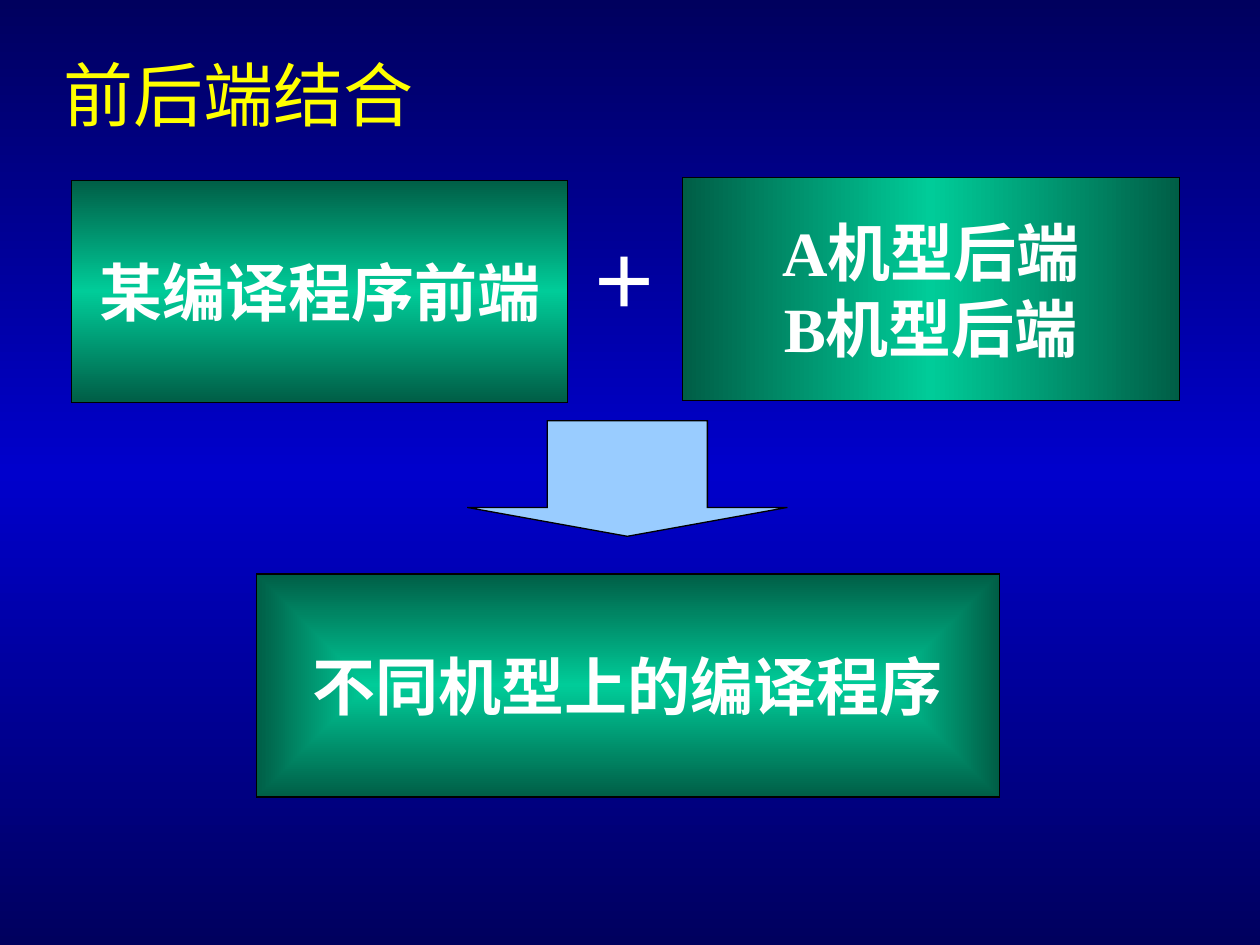
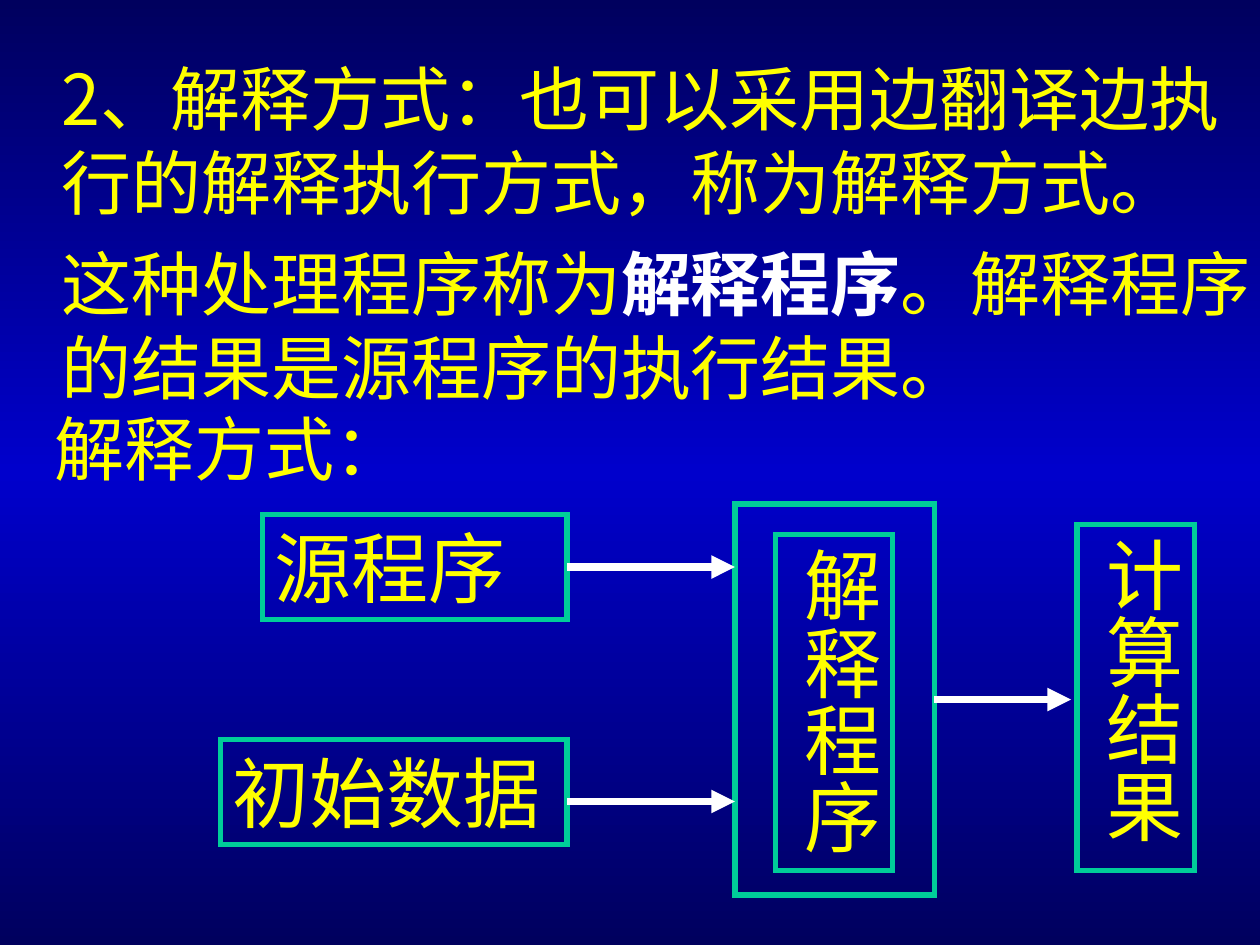
from lxml import etree
from pptx import Presentation
from pptx.dml.color import RGBColor
from pptx.enum.shapes import MSO_CONNECTOR, MSO_SHAPE
from pptx.enum.text import MSO_ANCHOR, MSO_AUTO_SIZE, PP_ALIGN
from pptx.oxml.ns import qn
from pptx.util import Pt

RECT, DOWN = MSO_SHAPE.RECTANGLE, MSO_SHAPE.DOWN_ARROW
STRAIGHT = MSO_CONNECTOR.STRAIGHT
TOP, MIDDLE = MSO_ANCHOR.TOP, MSO_ANCHOR.MIDDLE
LEFT, CENTER = PP_ALIGN.LEFT, PP_ALIGN.CENTER
FIXED = MSO_AUTO_SIZE.NONE
RIGHT_SIDE = 3

HEX = {
    "navy": "00005E", "blue": "0000CC", "pine": "005E46", "green": "00CC99",
    "sky": "99CCFF", "yellow": "FFFF00", "white": "FFFFFF", "black": "000000",
}
SERIF, SANS = "Times New Roman", "Noto Sans CJK SC"
BACK = [(0, "navy"), (50, "blue"), (100, "navy")]
BAND = [(0, "pine"), (50, "green"), (100, "pine")]
GLOW = [(0, "green"), (100, "pine")]

HEAD = {"size": 40, "color": "yellow", "name": SERIF, "bold": False}
PROSE = {**HEAD, "name": SANS}
STRONG = {**PROSE, "color": "white", "bold": True}
PLUS = {**HEAD, "color": "white", "bold": True}
LABEL = {**PLUS, "size": 36}
NODE = {**HEAD, "size": 44}

PARTS = [
    (["某编译程序前端"], (41, 103, 283.5, 127), BAND, 90),
    (["A机型后端", "B机型后端"], (390, 101.5, 284, 127.5), BAND, 180),
    (["不同机型上的编译程序"], (146.5, 328, 424.5, 127.5), GLOW, None),
]
ARROW = (267, 240.5, 183, 66)

STORY = [
    [("2、解释方式：也可以采用边翻译边执行的解释执行方式，称为解释方式。", PROSE)],
    [("这种处理程序称为", PROSE), ("解释程序", STRONG),
     ("。解释程序的结果是源程序的执行结果。", PROSE)],
]
NODES = {
    "frame": ("", (420, 288, 114, 223.5), False),
    "engine": ("解释程序", (443, 305.5, 67, 192), True),
    "result": ("计算结果", (615.5, 299.5, 67, 198), True),
    "source": ("源程序", (150, 294, 174, 60), False),
    "data": ("初始数据", (126, 422.5, 198, 60), False),
}
WIRES = [
    ("source", (324, 324), (420, 324)),
    ("frame", (534, 399.75), (612, 399.75)),
    (None, (324, 458), (420, 458)),
]


def tint(name):
    return RGBColor.from_string(HEX[name])


def grade(fill, root, stops, angle):
    fill.gradient()
    grad = next(root.iter(qn("a:gradFill")))
    grad.clear()
    grad.set("rotWithShape", "1")
    row = etree.SubElement(grad, qn("a:gsLst"))
    for pos, name in stops:
        stop = etree.SubElement(row, qn("a:gs"), pos=str(pos * 1000))
        etree.SubElement(stop, qn("a:srgbClr"), val=HEX[name])
    if angle is None:
        way = etree.SubElement(grad, qn("a:path"), path="rect")
        etree.SubElement(way, qn("a:fillToRect"), {side: "50000" for side in "ltrb"})
    else:
        etree.SubElement(grad, qn("a:lin"), ang=str(angle * 60000), scaled="0")


def style(font, look):
    for key, value in look.items():
        if key == "color":
            font.color.rgb = tint(value)
        else:
            setattr(font, key, Pt(value) if key == "size" else value)


def write(shape, paras, align=LEFT, anchor=TOP, wrap=True, gap=0):
    frame = shape.text_frame
    form = {"word_wrap": wrap, "auto_size": FIXED, "vertical_anchor": anchor}
    for key, value in form.items():
        setattr(frame, key, value)
    for i, runs in enumerate(paras):
        para = frame.add_paragraph() if i else frame.paragraphs[0]
        para.alignment = align
        para.space_before = Pt(gap if i else 0)
        para.space_after = Pt(gap)
        for text, look in runs:
            run = para.add_run()
            run.text = text
            style(run.font, look)
            east = etree.Element(qn("a:ea"), typeface=SANS)
            run.font._element.find(qn("a:latin")).addnext(east)


def place(shape, box):
    for key, value in zip(("left", "top", "width", "height"), box):
        setattr(shape, key, Pt(value))


def draw(slide, kind, box, edge, width):
    shape = slide.shapes.add_shape(kind, *map(Pt, box))
    shape.shadow.inherit = False
    shape.line.color.rgb = tint(edge)
    shape.line.width = Pt(width)
    etree.SubElement(shape.line._get_or_add_ln(), qn("a:miter"), lim="800000")
    return shape


def head(slide, text, box):
    place(slide.shapes.title, box)
    write(slide.shapes.title, [[(text, HEAD)]], wrap=False)


def wire(slide, start, end, node):
    line = slide.shapes.add_connector(STRAIGHT, *map(Pt, start + end))
    if node is not None:
        line.begin_connect(node, RIGHT_SIDE)
    line.line.color.rgb = tint("white")
    line.line.width = Pt(4.5)
    etree.SubElement(line.line._get_or_add_ln(), qn("a:tailEnd"), type="triangle")
    etree.SubElement(line._element.spPr, qn("a:effectLst"))


def combine(deck):
    slide = deck.slides.add_slide(deck.slide_layouts[5])
    head(slide, "前后端结合", (29, 26, 260, 55.5))
    for lines, box, stops, angle in PARTS:
        part = draw(slide, RECT, box, "black", 0.75)
        grade(part.fill, part._element, stops, angle)
        write(part, [[(text, LABEL)] for text in lines], CENTER, MIDDLE, False)
    plus = slide.shapes.add_textbox(*map(Pt, (330, 132.5, 54, 55.5)))
    write(plus, [[("＋", PLUS)]], wrap=False)
    arrow = draw(slide, DOWN, ARROW, "black", 0.75)
    arrow.adjustments[0], arrow.adjustments[1] = 0.5, 0.25
    arrow.fill.solid()
    arrow.fill.fore_color.rgb = tint("sky")


def explain(deck):
    slide = deck.slides.add_slide(deck.slide_layouts[1])
    head(slide, "解释方式：", (24, 228, 260, 55.5))
    body = slide.placeholders[1]
    place(body, (28, 28, 696, 209.5))
    write(body, STORY, gap=5)
    for para in body.text_frame.paragraphs:
        props = para._p.get_or_add_pPr()
        props.set("marL", "0")
        props.set("indent", "0")
        etree.SubElement(props, qn("a:buNone"))
    nodes = {}
    for key, (text, box, tall) in NODES.items():
        node = nodes[key] = draw(slide, RECT, box, "green", 3)
        node.fill.background()
        if text:
            write(node, [[(text, NODE)]], CENTER if tall else LEFT)
        if tall:
            frame = node.text_frame
            frame._txBody.bodyPr.set("vert", "eaVert")
            frame.margin_left = frame.margin_right = Pt(3.6)
            frame.margin_top = frame.margin_bottom = Pt(7.2)
    for key, start, end in WIRES:
        wire(slide, start, end, nodes.get(key))


def main():
    deck = Presentation()
    deck.slide_width, deck.slide_height = Pt(720), Pt(540)
    master = deck.slide_master
    grade(master.background.fill, master._element, BACK, 90)
    combine(deck)
    explain(deck)
    deck.save("out.pptx")


if __name__ == "__main__":
    main()
